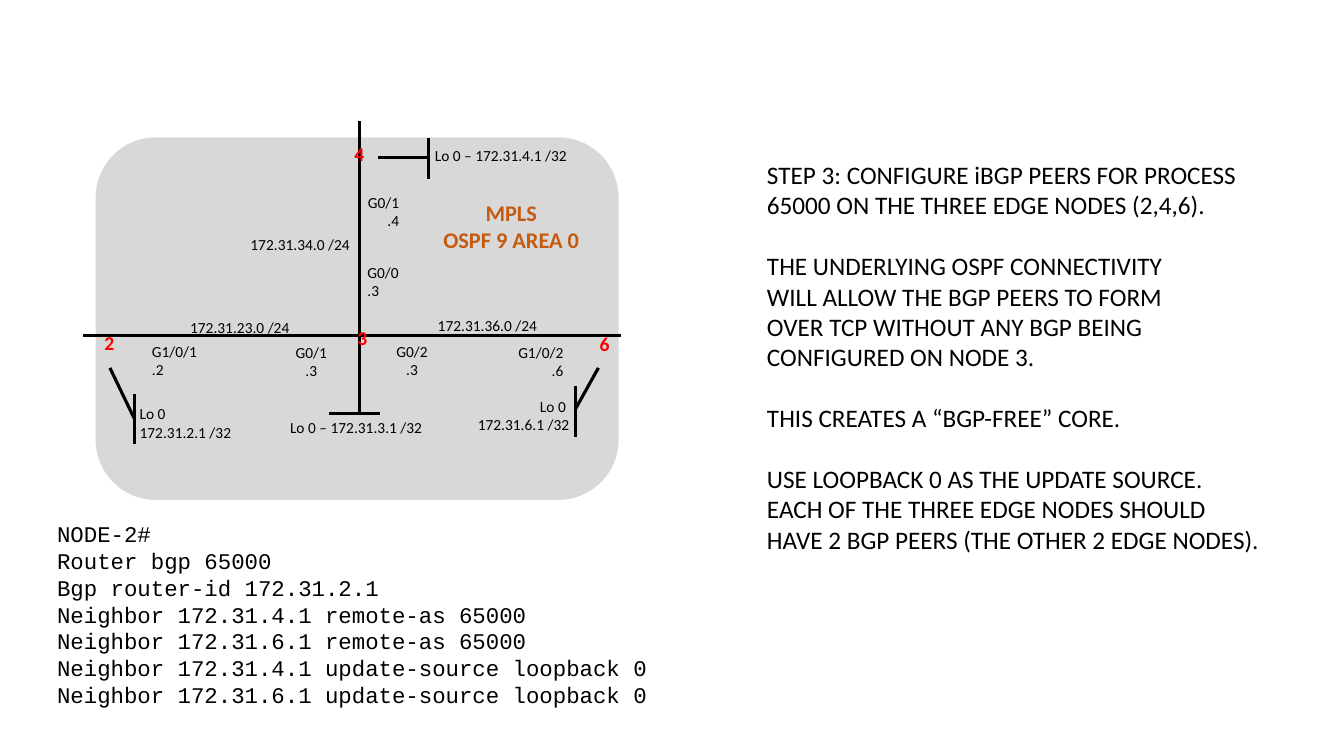
from dataclasses import dataclass
from pptx import Presentation, util as u
from pptx.dml.color import RGBColor
from pptx.enum import shapes, text
from pptx.oxml.ns import qn
from lxml import etree

LEFT, CENTER, RIGHT = text.PP_ALIGN.LEFT, text.PP_ALIGN.CENTER, text.PP_ALIGN.RIGHT


@dataclass(frozen=True)
class Theme:
    """Colours, fonts and type sizes of the slide."""
    ink: str = "000000"
    cloud: str = "D8D8D8"
    node: str = "FF0000"
    area: str = "C55A11"
    body_font: str = "Calibri"
    code_font: str = "Courier New"
    label_size: int = 11
    node_size: int = 14
    heading_size: int = 16
    code_size: int = 16
    body_size: int = 18
    line_width: float = 2.25


THEME = Theme()

LINKS = [
    (6.99, 7.37, 6.99, 0),
    (0, 5.41, 13.56, 5.41),
    (7.44, 0.91, 8.71, 0.91),
    (8.71, 1.45, 8.71, 0.43),
    (6.22, 7.37, 7.49, 7.37),
    (0.69, 6.22, 1.3, 7.49),
    (1.3, 8.15, 1.3, 6.88),
    (13, 6.22, 12.42, 7.26),
    (12.42, 7.95, 12.42, 6.68),
]

LABELS = [
    (6.83, 1.68, 1.4, RIGHT, ["G0/1", ".4"]),
    (6.93, 3.45, 1.93, LEFT, ["G0/0", ".3"]),
    (1.5, 5.44, 2.72, LEFT, ["G1/0/1", ".2"]),
    (4.8, 5.46, 1.93, CENTER, ["G0/1", ".3"]),
    (7.34, 5.44, 1.93, CENTER, ["G0/2", ".3"]),
    (9.55, 5.46, 2.82, RIGHT, ["G1/0/2", ".6"]),
    (3.48, 2.74, 4.01, CENTER, ["172.31.34.0 /24"]),
    (1.96, 4.83, 4.01, CENTER, ["172.31.23.0 /24"]),
    (8.2, 4.8, 4.01, CENTER, ["172.31.36.0 /24"]),
    (8.36, 0.51, 4.37, CENTER, ["Lo 0 – 172.31.4.1 /32"]),
    (4.98, 7.37, 7.59, LEFT, ["Lo 0 – 172.31.3.1 /32"]),
    (1.19, 7.01, 2.97, LEFT, ["Lo 0", "172.31.2.1 /32"]),
    (9.55, 6.83, 2.97, RIGHT, ["Lo 0 ", "172.31.6.1 /32"]),
]

NODES = [("2", 0.3, 5.16), ("3", 6.68, 5.05), ("4", 6.6, 0.41), ("6", 12.78, 5.18)]

INSTRUCTIONS = [
    ["STEP 3: CONFIGURE iBGP PEERS FOR PROCESS",
     "65000 ON THE THREE EDGE NODES (2,4,6)."],
    ["THE UNDERLYING OSPF CONNECTIVITY",
     "WILL ALLOW THE BGP PEERS TO FORM",
     "OVER TCP WITHOUT ANY BGP BEING",
     "CONFIGURED ON NODE 3."],
    ["THIS CREATES A “BGP-FREE” CORE."],
    ["USE LOOPBACK 0 AS THE UPDATE SOURCE.",
     "EACH OF THE THREE EDGE NODES SHOULD",
     "HAVE 2 BGP PEERS (THE OTHER 2 EDGE NODES)."],
]

CONFIG = [
    "NODE-2#",
    "Router bgp 65000",
    "Bgp router-id 172.31.2.1",
    "Neighbor 172.31.4.1 remote-as 65000",
    "Neighbor 172.31.6.1 remote-as 65000",
    "Neighbor 172.31.4.1 update-source loopback 0",
    "Neighbor 172.31.6.1 update-source loopback 0",
]


def add_text(slide, left, top, width, lines, size, align=LEFT, color=THEME.ink,
             bold=False, font=THEME.body_font, height=None):
    """Add a text box with one paragraph per line and return its paragraphs."""
    height = height or 0.25 + 0.043 * size * len(lines)
    frame = slide.shapes.add_textbox(u.Cm(left), u.Cm(top), u.Cm(width), u.Cm(height)).text_frame
    frame.word_wrap = True
    frame.text = "\n".join(lines)
    for paragraph in frame.paragraphs:
        paragraph.alignment = align
        paragraph.font.name = font
        paragraph.font.size = u.Pt(size)
        paragraph.font.bold = bold
        paragraph.font.color.rgb = RGBColor.from_string(color)
    return frame.paragraphs


def add_link(slide, x1, y1, x2, y2):
    """Draw one straight network link."""
    link = slide.shapes.add_connector(shapes.MSO_CONNECTOR.STRAIGHT,
                                      u.Cm(x1), u.Cm(y1), u.Cm(x2), u.Cm(y2))
    link.line.color.rgb = RGBColor.from_string(THEME.ink)
    link.line.width = u.Pt(THEME.line_width)
    etree.SubElement(link._element.spPr, qn("a:effectLst"))


def draw_network(slide, left, top, width, height):
    """Draw the MPLS cloud with its links, nodes and address labels."""
    cloud = slide.shapes.add_shape(shapes.MSO_SHAPE.ROUNDED_RECTANGLE,
                                   u.Cm(left + 0.33), u.Cm(top + 0.41),
                                   u.Cm(width - 0.38), u.Cm(height - 0.41))
    cloud.shadow.inherit = False
    cloud.fill.solid()
    cloud.fill.fore_color.rgb = RGBColor.from_string(THEME.cloud)
    cloud.line.fill.background()
    for x1, y1, x2, y2 in LINKS:
        add_link(slide, left + x1, top + y1, left + x2, top + y2)
    for x, y, label_width, align, lines in LABELS:
        add_text(slide, left + x, top + y, label_width, lines, THEME.label_size, align)
    for number, x, y in NODES:
        add_text(slide, left + x, top + y, 0.76, [number], THEME.node_size,
                 color=THEME.node, bold=True)
    add_text(slide, left + 8.81, top + 1.85, 3.99, ["MPLS", "OSPF 9 AREA 0"],
             THEME.heading_size, CENTER, THEME.area, True)


def write_instructions(slide, left, top, width, height):
    """Write the step's instructions, with a line's gap between groups."""
    lines = [line for group in INSTRUCTIONS for line in group]
    paragraphs = add_text(slide, left, top, width, lines, THEME.body_size, height=height)
    first = 0
    for group in INSTRUCTIONS[:-1]:
        first += len(group)
        paragraphs[first].space_before = u.Pt(22)


def write_config(slide, left, top, width, height):
    """Write the router configuration in a fixed-width font."""
    add_text(slide, left, top, width, CONFIG, THEME.code_size,
             font=THEME.code_font, height=height)


def main():
    """Build the slide and save it."""
    deck = Presentation()
    deck.slide_width, deck.slide_height = u.Cm(33.87), u.Cm(19.05)
    slide = deck.slides.add_slide(deck.slide_layouts[6])
    draw_network(slide, 2.08, 3.05, 13.56, 9.55)
    write_instructions(slide, 19.08, 3.89, 13.03, 13.33)
    write_config(slide, 1.19, 12.98, 15.6, 5.05)
    deck.save("out.pptx")


if __name__ == "__main__":
    main()
